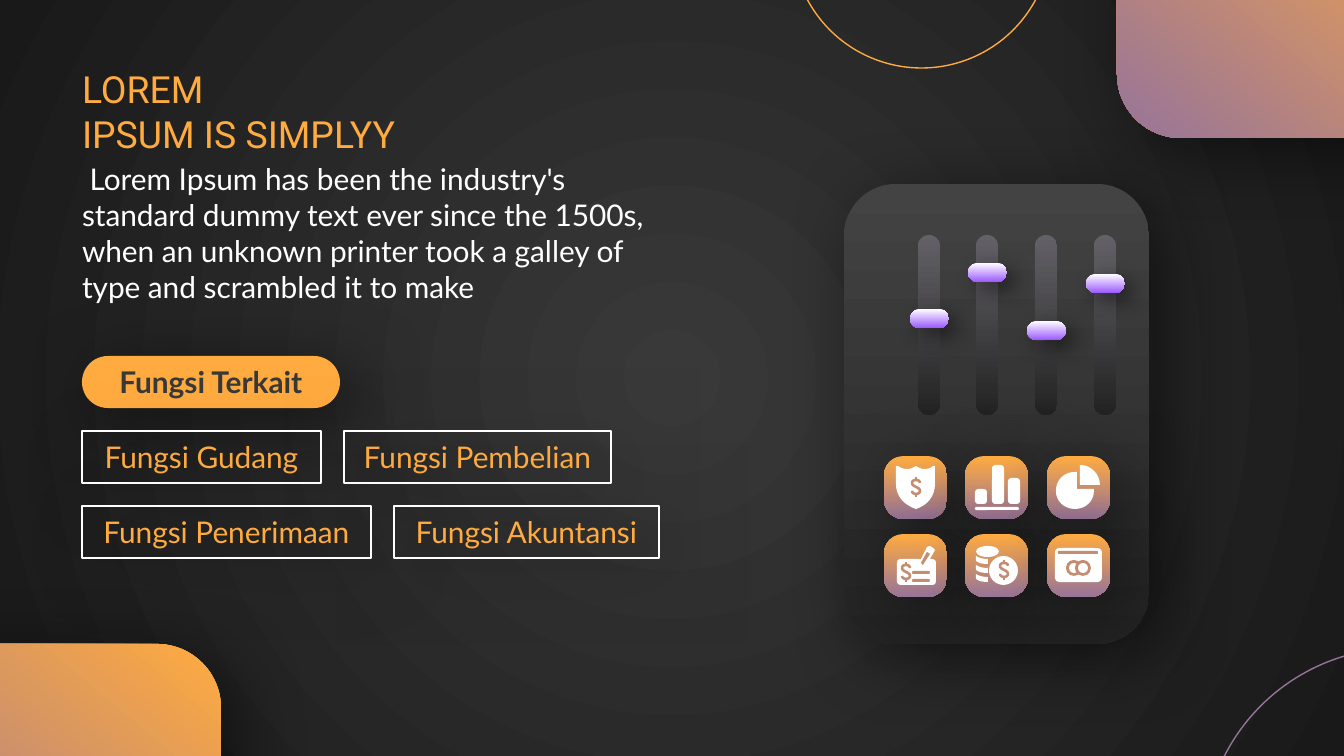
from dataclasses import dataclass
from typing import Optional

from lxml.etree import SubElement
from pptx import Presentation
from pptx.dml.color import RGBColor
from pptx.enum.shapes import MSO_SHAPE
from pptx.enum.text import MSO_ANCHOR, PP_ALIGN
from pptx.oxml.ns import qn
from pptx.util import Pt

SCALE = 914400 / 134.4
AMBER, MAUVE, WHITE, DARK, TONE = "FFAB40", "977499", "FFFFFF", "393939", "C48C71"
ROUND, OVAL = MSO_SHAPE.ROUNDED_RECTANGLE, MSO_SHAPE.OVAL


@dataclass
class Shade:
    blur: float
    dist: float
    angle: int


@dataclass
class Form:
    x: int
    y: int
    w: int
    h: int
    adj: Optional[float] = None
    fill: tuple = ()
    line: str = ""
    width: float = 1
    shade: Optional[Shade] = None
    angle: int = 90


@dataclass
class Font:
    size: int
    name: str
    color: str
    bold: bool = False


SOFT, NEAR = Shade(39.4, 11.2, 40), Shade(11.2, 6, 44)


def px(n: float) -> int:
    return round(n * SCALE)


def rgb(text: str) -> RGBColor:
    return RGBColor.from_string(text)


def put(item, values: dict) -> None:
    for name, value in values.items():
        setattr(item, name, value)


def blend(fill, colors: tuple, angle: int = 90) -> None:
    fill.gradient()
    fill.gradient_angle = 360 - angle
    for stop, color in zip(fill.gradient_stops, colors):
        stop.color.rgb = rgb(color)


def paint(shape, fill: tuple, line: str = "", width: float = 1, angle: int = 90) -> None:
    shape.shadow.inherit = False
    if len(fill) == 2:
        blend(shape.fill, fill, angle)
    elif fill:
        shape.fill.solid()
        shape.fill.fore_color.rgb = rgb(fill[0])
    else:
        shape.fill.background()
    if line:
        shape.line.color.rgb = rgb(line)
        shape.line.width = Pt(width)
    else:
        shape.line.fill.background()


def draw(form: Form):
    kind = OVAL if form.adj is None else ROUND
    shape = slide.shapes.add_shape(kind, *map(px, (form.x, form.y, form.w, form.h)))
    if form.adj is not None:
        shape.adjustments[0] = form.adj
    paint(shape, form.fill, form.line, form.width, form.angle)
    if form.shade:
        cast = SubElement(shape.element.spPr.find(qn("a:effectLst")), qn("a:outerShdw"),
                          blurRad=str(Pt(form.shade.blur)), dist=str(Pt(form.shade.dist)),
                          dir=str(form.shade.angle * 60000), algn="bl", rotWithShape="0")
        tint = SubElement(cast, qn("a:srgbClr"), val="000000")
        SubElement(tint, qn("a:alpha"), val="50000")
    return shape


def write(shape, lines: list, font: Font, align, anchor, side: int, edge: int) -> None:
    frame = shape.text_frame
    put(frame, dict(word_wrap=True, vertical_anchor=anchor, margin_left=px(side),
                    margin_right=px(side), margin_top=px(edge), margin_bottom=px(edge)))
    for i, line in enumerate(lines):
        para = frame.add_paragraph() if i else frame.paragraphs[0]
        para.alignment = align
        run = para.add_run()
        run.text = line
        put(run.font, dict(size=Pt(font.size), name=font.name, bold=font.bold))
        run.font.color.rgb = rgb(font.color)


def bend(start: tuple, curve: tuple, steps: int = 8) -> list:
    a, b, c, d = start, curve[:2], curve[2:4], curve[4:]
    spots = []
    for i in range(1, steps + 1):
        t = i / steps
        u = 1 - t
        spots.append(tuple(u**3 * p + 3 * u * u * t * q + 3 * u * t * t * r + t**3 * s
                           for p, q, r, s in zip(a, b, c, d)))
    return spots


def trace(loops: list, fill: str = WHITE, line: str = "", x: int = 0, y: int = 0) -> None:
    maker = None
    for loop in loops:
        spots = [loop[0]]
        for part in loop[1:]:
            spots += bend(spots[-1], part) if len(part) == 6 else [part]
        spots = [(px(a + x), px(b + y)) for a, b in spots]
        if maker is None:
            maker = slide.shapes.build_freeform(*spots[0], scale=1.0)
        else:
            maker.move_to(*spots[0])
        maker.add_line_segments(spots[1:], close=not line)
    paint(maker.convert_to_shape(), (fill,) if fill else (), line, 1.4)


def coin(x: int, y: int) -> None:
    trace([[(4, -4), (4, -8, -4, -8, -4, -4), (-4, 0, 4, 0, 4, 4), (4, 8, -4, 8, -4, 4)],
           [(0, -10), (0, -7)], [(0, 7), (0, 10)]], "", TONE, x, y)


deck = Presentation()
put(deck, dict(slide_width=px(1344), slide_height=px(756)))
slide = deck.slides.add_slide(deck.slide_layouts[6])
blend(slide.background.fill, (DARK, "191919"))
lin = slide.element.find(".//" + qn("a:lin"))
ring = SubElement(lin.getparent(), qn("a:path"), path="circle")
SubElement(ring, qn("a:fillToRect"), l="50000", t="50000", r="50000", b="50000")
lin.getparent().replace(lin, ring)

body = slide.shapes.add_textbox(*map(px, (82, 148, 577, 163)))
write(body, [" Lorem Ipsum has been the industry's standard dummy text ever since the 1500s, "
             "when an unknown printer took a galley of type and scrambled it to make"],
      Font(16, "Lato", WHITE), PP_ALIGN.LEFT, MSO_ANCHOR.TOP, 0, 13)
head = slide.shapes.add_textbox(*map(px, (82, 69, 577, 85)))
write(head, ["LOREM", "IPSUM IS SIMPLYY"], Font(20, "Roboto", AMBER),
      PP_ALIGN.LEFT, MSO_ANCHOR.MIDDLE, 0, 0)

pill = draw(Form(82, 356, 258, 52, 0.5, (AMBER,), shade=SOFT))
write(pill, ["Fungsi Terkait"], Font(16, "Lato", DARK, True),
      PP_ALIGN.CENTER, MSO_ANCHOR.MIDDLE, 13, 13)
ROWS = [[("Fungsi Gudang", 239), ("Fungsi Pembelian", 267)],
        [("Fungsi Penerimaan", 289), ("Fungsi Akuntansi", 265)]]
for i, row in enumerate(ROWS):
    left = 82
    for label, wide in row:
        box = draw(Form(left, 431 + 75 * i, wide, 52, 0, line=WHITE, shade=SOFT))
        write(box, [label], Font(16, "Lato", AMBER),
              PP_ALIGN.CENTER, MSO_ANCHOR.MIDDLE, 13, 13)
        left += wide + 23

WARM = (AMBER, MAUVE)
for form in [
    Form(-134, 644, 355, 305, 0.21, WARM, shade=SOFT, angle=130),
    Form(1203, 648, 395, 395, line=MAUVE, width=0.75),
    Form(1117, -167, 355, 305, 0.21, WARM, shade=SOFT, angle=130),
    Form(792, -191, 259, 259, line=AMBER, width=0.75),
    Form(844, 184, 305, 460, 0.17, ("434343", "232323"), shade=SOFT),
]:
    draw(form)

for i, top in reversed(list(enumerate([309, 263, 321, 274]))):
    left = 918 + 176 * i // 3
    draw(Form(left, 235, 22, 180, 0.5, ("636167", "232323")))
    draw(Form(left - 8, top, 39, 19, 0.5, (WHITE, "9C5BFF"), shade=NEAR))

for i in range(6):
    draw(Form(884 + 163 * (i % 3) // 2, 456 + 78 * (i // 3), 63, 63, 0.31, WARM, shade=SOFT))

trace([[(933, 466), (930, 469, 926, 469, 924, 469), (922, 469, 919, 468, 916, 466),
        (913, 468, 910, 469, 907, 469), (904, 469, 901, 468, 898, 466), (896, 466),
        (896, 484), (896, 496, 904, 505, 916, 509), (928, 505, 935, 496, 935, 484),
        (935, 466)]])
coin(916, 487)

for left, top in [(975, 489), (992, 465), (1008, 478)]:
    draw(Form(left, top, 12, 504 - top, 0.28, (WHITE,)))
draw(Form(975, 507, 44, 3, 0.5, (WHITE,)))

trace([[(1075, 472), (1064, 472, 1056, 480, 1056, 491), (1056, 501, 1064, 509, 1075, 509),
        (1086, 509, 1094, 501, 1094, 491), (1094, 489), (1077, 489), (1077, 472)]])
trace([[(1080, 465), (1080, 485), (1100, 485), (1100, 474, 1091, 465, 1080, 465)]])

draw(Form(897, 559, 39, 26, 0.14, (WHITE,)))
trace([[(921, 559), (927, 547), (930, 546), (933, 548), (935, 550), (930, 559)]])
trace([[(927, 552), (930, 554), (923, 565), (921, 563)]], TONE)
for top in (571, 579):
    draw(Form(912, top, 18, 3, 0.5, (TONE,)))
coin(906, 572)

draw(Form(976, 546, 23, 11, fill=(WHITE,)))
for top in (556, 565, 574):
    trace([[(0, 0), (3, 2, 7, 3, 12, 3), (12, 8), (4, 8, 0, 6, 0, 4)]], x=976, y=top)
draw(Form(989, 556, 29, 29, fill=(WHITE,)))
coin(1004, 570)

draw(Form(1055, 548, 47, 34, 0.13, (WHITE,)))
draw(Form(1058, 551, 40, 3, 0.3, (TONE,)))
for left in (1066, 1075):
    draw(Form(left, 560, 16, 16, fill=(TONE,)))
    draw(Form(left + 3, 563, 10, 10, fill=(WHITE,)))

deck.save("out.pptx")
